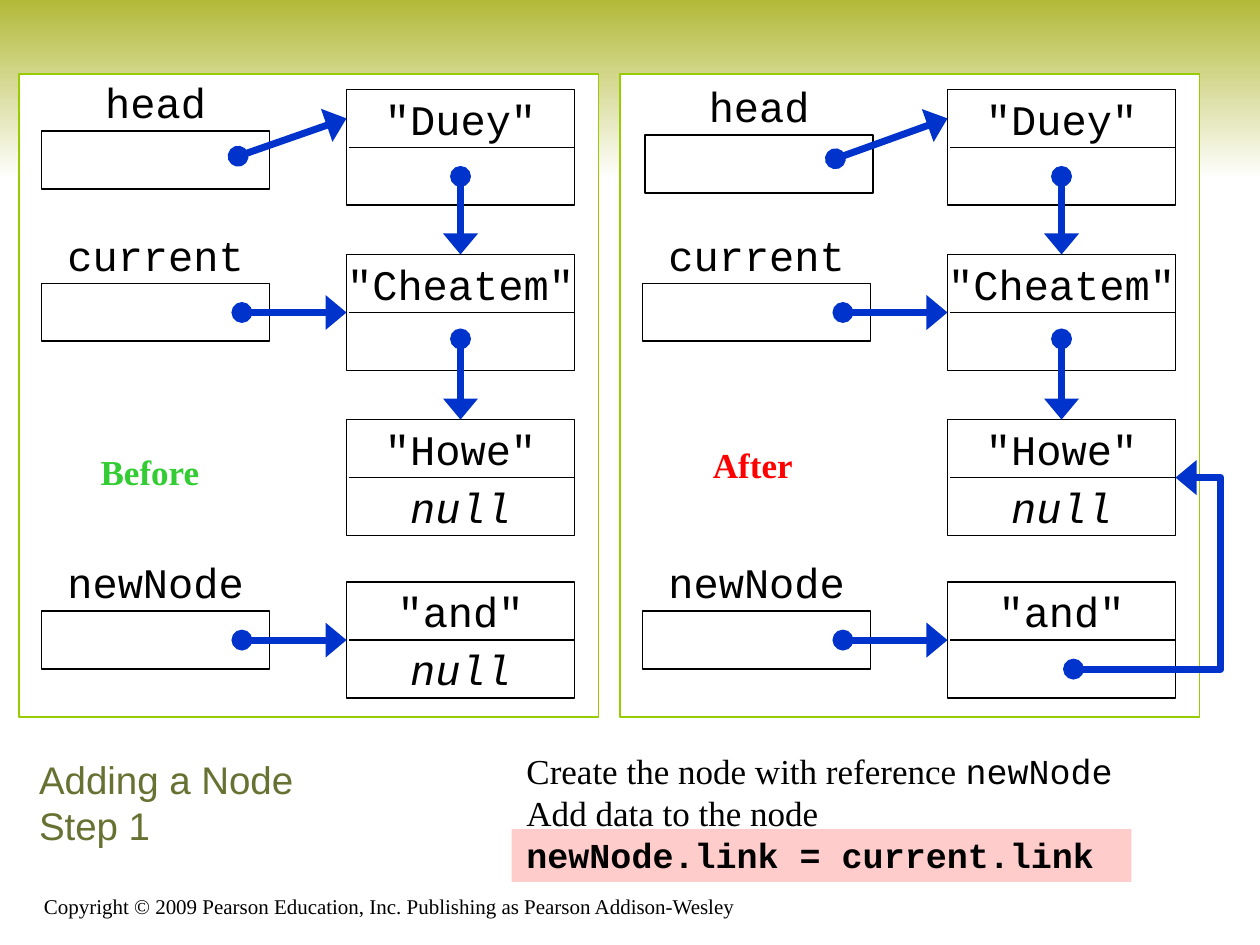
from dataclasses import dataclass

import pptx
import pptx.dml.color
import pptx.enum.shapes
import pptx.enum.text
import pptx.oxml
import pptx.oxml.ns
import pptx.util

Inches = pptx.util.Inches
Pt = pptx.util.Pt
ALIGN = pptx.enum.text.PP_ALIGN
ANCHOR = pptx.enum.text.MSO_ANCHOR
RECT = pptx.enum.shapes.MSO_SHAPE.RECTANGLE
STRAIGHT = pptx.enum.shapes.MSO_CONNECTOR.STRAIGHT

MONO, SERIF, SANS = "Courier New", "Times New Roman", "Arial"
BLACK, WHITE, BLUE = "000000", "FFFFFF", "0033CC"
BOX_W, ROW_H = 1.81, 0.46
NODE_DX, POINTER_DX = 2.60, 0.18  # offsets from the panel's left edge


@dataclass
class Node:
    y: float
    data: str
    link: str = ""


@dataclass
class Pointer:
    name: str
    x: float
    y: float


@dataclass
class Panel:
    x: float
    caption: str
    caption_at: tuple[float, float, float, float]
    caption_color: str
    head: Pointer
    head_dot: tuple[float, float]
    last_link: str


def rgb(color: str):
    return pptx.dml.color.RGBColor.from_string(color)


def write(p, text: str, *, size: float = 24, font: str = MONO, color: str = BLACK,
          bold: bool = False, italic: bool = False) -> None:
    for i, part in enumerate(text.split("\n")):
        if i:
            p.add_line_break()
        r = p.add_run()
        r.text = part
        r.font.size, r.font.name = Pt(size), font
        r.font.bold, r.font.italic = bold, italic
        r.font.color.rgb = rgb(color)


def add_text(slide, x: float, y: float, w: float, h: float, *, wrap: bool = False,
             anchor=ANCHOR.MIDDLE):
    tf = slide.shapes.add_textbox(Inches(x), Inches(y), Inches(w), Inches(h)).text_frame
    tf.word_wrap = wrap
    tf.vertical_anchor = anchor
    return tf


def add_label(slide, x: float, y: float, text: str, italic: bool = False) -> None:
    tf = add_text(slide, x, y, BOX_W, ROW_H)
    tf.margin_left = tf.margin_right = 0  # the longest label fills the box
    p = tf.paragraphs[0]
    p.alignment = ALIGN.CENTER
    write(p, text, italic=italic)


def add_rect(slide, x: float, y: float, w: float, h: float, fill: str = WHITE,
             line: str | None = BLACK):
    sp = slide.shapes.add_shape(RECT, Inches(x), Inches(y), Inches(w), Inches(h))
    sp.shadow.inherit = False
    sp.fill.solid()
    sp.fill.fore_color.rgb = rgb(fill)
    if line:
        sp.line.color.rgb = rgb(line)
        sp.line.width = Pt(1)
    else:
        sp.line.fill.background()
    return sp


def style_link(sp) -> None:
    """Thick blue line with a dot at its start and a wide arrowhead at its end."""
    sp.line.color.rgb = rgb(BLUE)
    sp.line.width = Pt(4)
    ln = sp.line._get_or_add_ln()
    for tag, kind, width in (("a:headEnd", "oval", "med"), ("a:tailEnd", "triangle", "lg")):
        ln.append(pptx.oxml.parse_xml(
            f"<{tag} {pptx.oxml.ns.nsdecls('a')} type='{kind}' w='{width}' len='med'/>"))


def add_line(slide, x1: float, y1: float, x2: float, y2: float):
    line = slide.shapes.add_connector(STRAIGHT, Inches(x1), Inches(y1), Inches(x2), Inches(y2))
    line.line.color.rgb = rgb(BLACK)
    line.line.width = Pt(1)
    line._element.spPr.append(
        pptx.oxml.parse_xml(f"<a:effectLst {pptx.oxml.ns.nsdecls('a')}/>"))
    return line


def add_arrow(slide, x1: float, y1: float, x2: float, y2: float, target=None,
              site: int = 0) -> None:
    line = add_line(slide, x1, y1, x2, y2)
    style_link(line)
    if target is not None:
        line.end_connect(target, site)


def add_node(slide, x: float, node: Node):
    sp = add_rect(slide, x, node.y, BOX_W, 2 * ROW_H)
    mid = node.y + ROW_H
    add_line(slide, x + 0.02, mid, x + BOX_W, mid).end_connect(sp, 3)
    add_label(slide, x, node.y, node.data)
    if node.link:
        add_label(slide, x, mid, node.link, italic=True)
    return sp


def add_pointer(slide, pointer: Pointer) -> None:
    add_rect(slide, pointer.x, pointer.y, BOX_W, ROW_H)
    add_label(slide, pointer.x, pointer.y - ROW_H, pointer.name)


def add_panel(slide, panel: Panel) -> None:
    add_rect(slide, panel.x, 0.59, 4.6, 5.1, line="99CC00")
    node_x, pointer_x = panel.x + NODE_DX, panel.x + POINTER_DX

    # List nodes
    duey, cheatem, howe, added = [
        add_node(slide, node_x, node) for node in (
            Node(0.71, '"Duey"'), Node(2.02, '"Cheatem"'),
            Node(3.33, '"Howe"', "null"), Node(4.62, '"and"', panel.last_link))]

    # Reference variables and their arrows
    add_pointer(slide, panel.head)
    add_arrow(slide, *panel.head_dot, node_x, 0.94)
    for name, y, target in (("current", 2.25, cheatem), ("newNode", 4.85, added)):
        add_pointer(slide, Pointer(name, pointer_x, y))
        mid = y + ROW_H / 2
        add_arrow(slide, pointer_x + 1.59, mid, node_x, mid, target, 1)

    # Links between nodes
    link_x = node_x + BOX_W / 2
    for y, target in ((1.4, cheatem), (2.69, howe)):
        add_arrow(slide, link_x, y, link_x, y + 0.62, target, 0)

    tf = add_text(slide, *panel.caption_at, anchor=ANCHOR.TOP)
    write(tf.paragraphs[0], panel.caption, size=20, font=SERIF,
          color=panel.caption_color, bold=True)


def main() -> None:
    prs = pptx.Presentation()
    prs.slide_width, prs.slide_height = Inches(10), Inches(7.5)
    slide = prs.slides.add_slide(prs.slide_layouts[5])

    # Gradient band and copyright line
    band = add_rect(slide, 0, 0, 10, 1.42, line=None)
    band.fill.gradient()
    band.fill.gradient_angle = 270
    for stop, color in zip(band.fill.gradient_stops, ("B2B938", WHITE)):
        stop.color.rgb = rgb(color)
    tf = add_text(slide, 0.25, 6.92, 6.08, 0.42, wrap=True, anchor=ANCHOR.BOTTOM)
    write(tf.paragraphs[0], "Copyright © 2009 Pearson Education, Inc. "
          "Publishing as Pearson Addison-Wesley", size=12, font=SERIF)

    # Title
    title = slide.shapes.title
    title.left, title.top = Inches(0.21), Inches(5.79)
    title.width, title.height = Inches(3.81), Inches(1.15)
    title.text_frame.auto_size = pptx.enum.text.MSO_AUTO_SIZE.NONE
    title.text_frame.vertical_anchor = ANCHOR.MIDDLE
    p = title.text_frame.paragraphs[0]
    p.alignment = ALIGN.LEFT
    write(p, "Adding a Node\nStep 1", size=22, font=SANS, color="677132")

    # Before and after panels
    add_panel(slide, Panel(0.15, "Before", (0.7, 3.53, 0.99, 0.44), "33CC33",
                           Pointer("head", 0.33, 1.04), (1.89, 1.24), "null"))
    add_panel(slide, Panel(4.92, "After", (5.56, 3.47, 0.83, 0.44), "FF0000",
                           Pointer("head", 5.12, 1.07), (6.63, 1.26), ""))

    # New link from the added node back to "Howe"
    corners = [(Inches(x), Inches(y)) for x, y in
               ((8.52, 5.31), (9.69, 5.31), (9.69, 3.79), (9.33, 3.79))]
    builder = slide.shapes.build_freeform(*corners[0])
    builder.add_line_segments(corners[1:], close=False)
    new_link = builder.convert_to_shape()
    new_link.shadow.inherit = False
    new_link.fill.background()
    style_link(new_link)

    # Steps, with the current one highlighted
    add_rect(slide, 4.06, 6.58, 4.92, 0.42, fill="FFCCCC", line=None)
    tf = add_text(slide, 4.08, 5.9, 5.73, 1.1, wrap=True, anchor=ANCHOR.TOP)
    p = tf.paragraphs[0]
    write(p, "Create the node with reference ", size=20, font=SERIF)
    write(p, "newNode", size=20)
    write(tf.add_paragraph(), "Add data to the node", size=20, font=SERIF)
    write(tf.add_paragraph(), "newNode.link = current.link", size=20, bold=True)

    prs.save("out.pptx")


if __name__ == "__main__":
    main()
